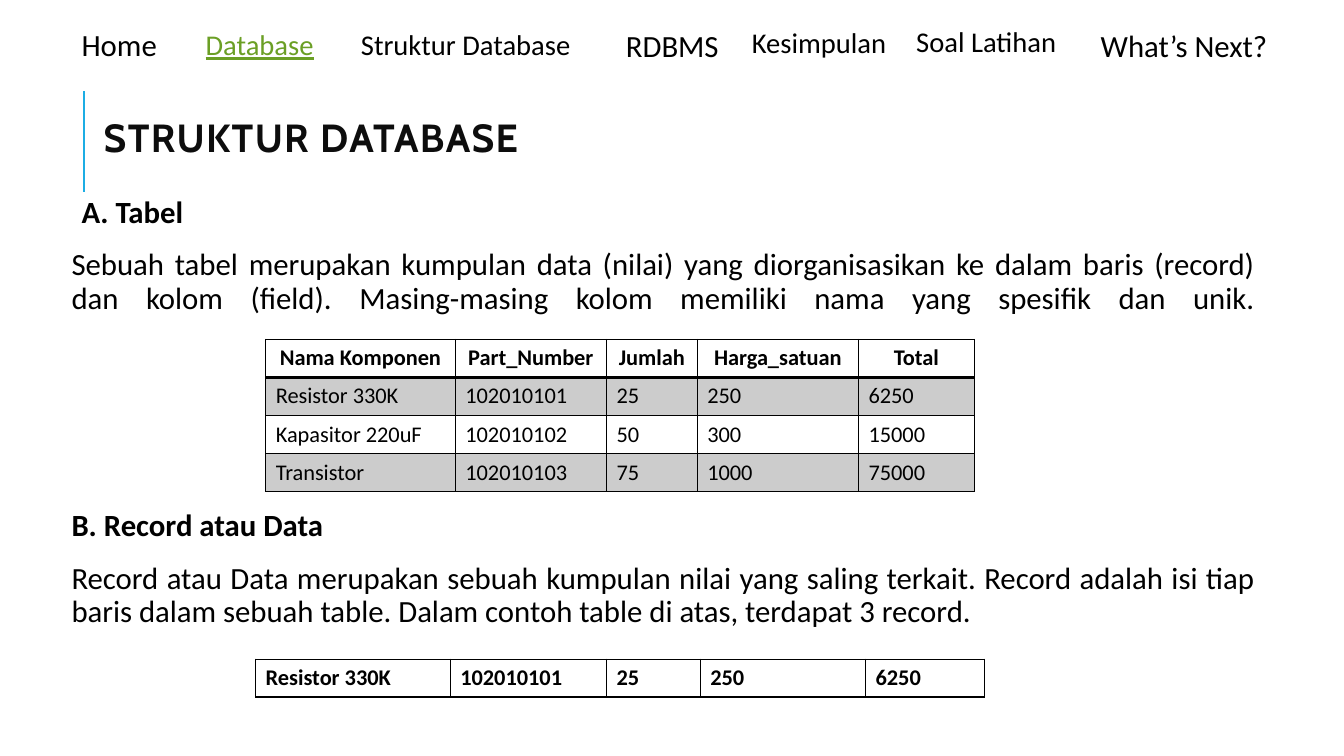
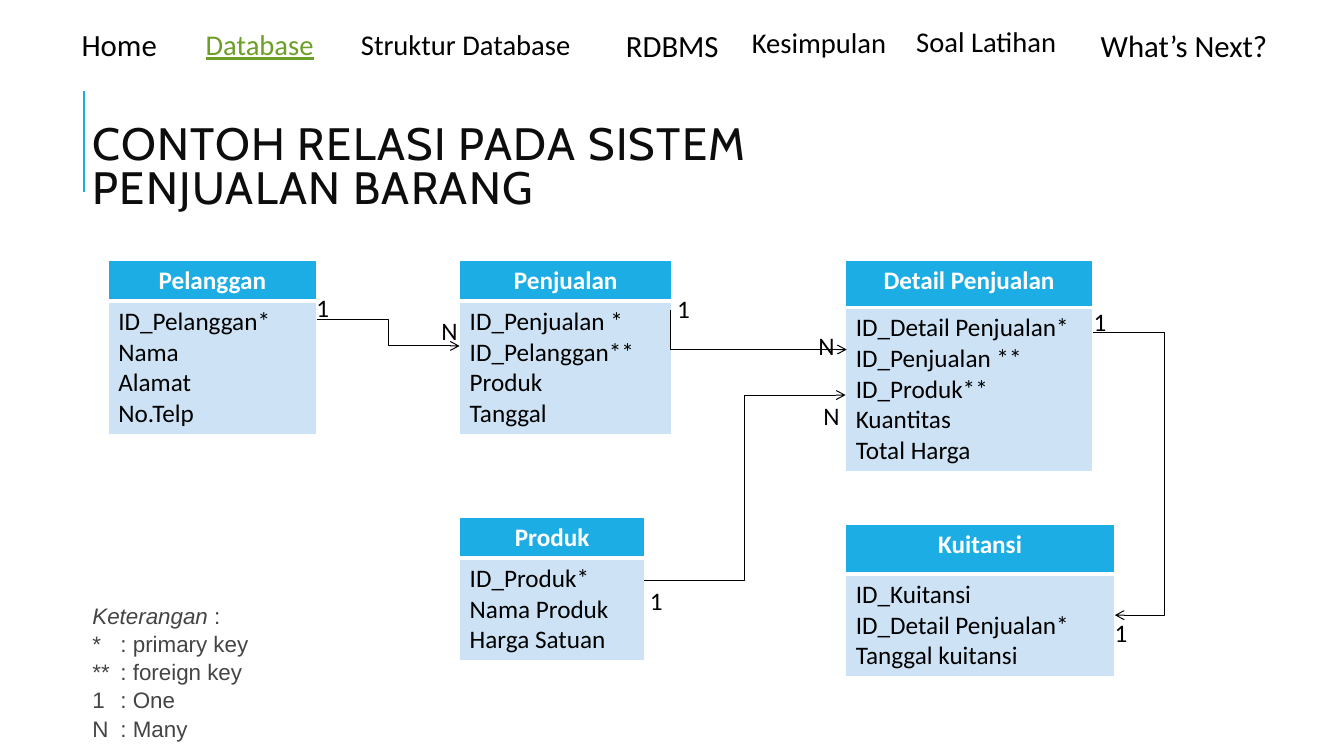
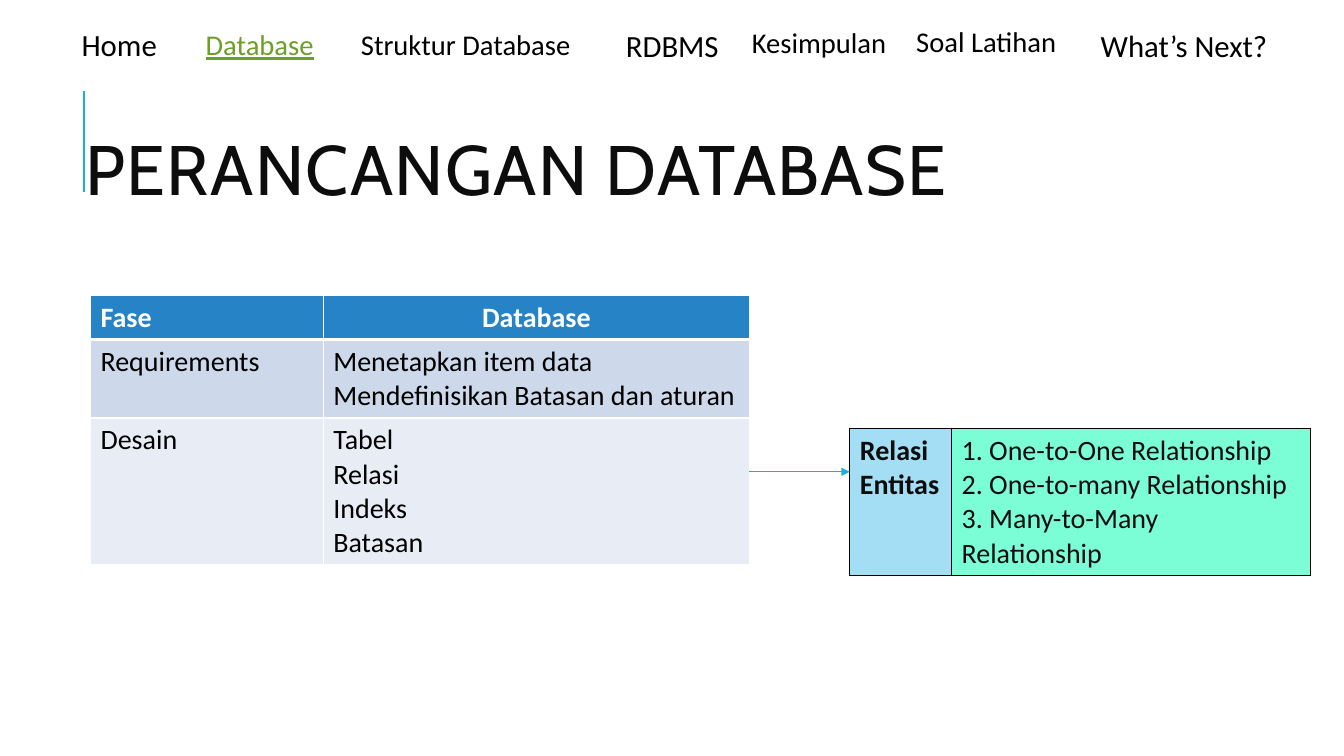
from lxml.etree import SubElement
from pptx import Presentation
from pptx.dml.color import RGBColor
from pptx.enum.shapes import MSO_CONNECTOR
from pptx.enum.text import MSO_ANCHOR, PP_ALIGN
from pptx.oxml.ns import qn
from pptx.util import Pt

BLACK = RGBColor(0, 0, 0)
INK = RGBColor(0x0D, 0x0D, 0x0D)
WHITE = RGBColor(0xFF, 0xFF, 0xFF)
CYAN = RGBColor(0x1C, 0xAD, 0xE4)
GREEN = RGBColor(0x6B, 0x9F, 0x25)
GREY = RGBColor(0xCC, 0xCC, 0xCC)
LEGEND_GREY = RGBColor(0x44, 0x44, 0x44)
ENTITY_BLUE = RGBColor(0xCD, 0xE3, 0xF5)
PHASE_BLUE = RGBColor(0x26, 0x83, 0xC6)
PHASE_DARK = RGBColor(0xCD, 0xD9, 0xEA)
PHASE_LIGHT = RGBColor(0xE8, 0xED, 0xF5)
RELATION_BLUE = RGBColor(0xA4, 0xDE, 0xF4)
MINT = RGBColor(0x7B, 0xFD, 0xD5)
BODY_FONT, TITLE_FONT = "Calibri", "Cabin"
TIGHT = (3.6, 3.6)
NORMAL = (7.2, 3.6)

# label, left, top, width, size, line spacing
NAVIGATION = [
    ("Home", 47.5, 18, 127.4, 22, 0.9),
    ("Database", 136.1, 18.7, 110.9, 20.4, 0.9),
    ("Struktur Database", 247, 18.7, 189.4, 20.4, 0.9),
    ("RDBMS", 436.3, 18.7, 110.9, 22, 0.9),
    ("Kesimpulan", 526.3, 18.7, 110.9, 20.4, 0.8),
    ("Soal Latihan", 643.7, 18, 127.4, 20.4, 0.8),
    ("What’s Next?", 775.4, 18.7, 164.2, 22, 0.9),
]
ACTIVE_ITEM = "Database"
NAVIGATION_HEIGHT = 47.5
INDENT = 7.2

TABLE_HEADING = "A. Tabel"
TABLE_TEXT = (
    "Sebuah tabel merupakan kumpulan data (nilai) yang diorganisasikan ke dalam baris "
    "(record) dan kolom (field). Masing-masing kolom memiliki nama yang spesifik dan unik."
)
RECORD_HEADING = "B. Record atau Data"
RECORD_TEXT = (
    "Record atau Data merupakan sebuah kumpulan nilai yang saling terkait. Record adalah "
    "isi tiap baris dalam sebuah table. Dalam contoh table di atas, terdapat 3 record."
)
COMPONENTS = [
    ("Nama Komponen", "Part_Number", "Jumlah", "Harga_satuan", "Total"),
    ("Resistor 330K", "102010101", "25", "250", "6250"),
    ("Kapasitor 220uF", "102010102", "50", "300", "15000"),
    ("Transistor", "102010103", "75", "1000", "75000"),
]

# name, fields, left, top, width, header height
ENTITIES = [
    ("Pelanggan", ["ID_Pelanggan*", "Nama", "Alamat", "No.Telp"], 77.3, 185.9, 148.8, 29.3),
    ("Penjualan", ["ID_Penjualan *", "ID_Pelanggan**", "Produk", "Tanggal"],
     328.3, 185.9, 151.6, 29.3),
    ("Produk", ["ID_Produk*", "Nama Produk", "Harga Satuan"], 328.3, 369.5, 132.3, 29.3),
    ("Detail Penjualan",
     ["ID_Detail Penjualan*", "ID_Penjualan **", "ID_Produk**", "Kuantitas", "Total Harga"],
     604.1, 185.9, 176.3, 33.8),
    ("Kuitansi", ["ID_Kuitansi", "ID_Detail Penjualan*", "Tanggal kuitansi"],
     604.1, 374.9, 192, 35.3),
]
# start, end, x of the vertical segment
RELATIONS = [
    ((226.2, 228.3), (328.3, 247.1), 277.3),
    ((479, 221.8), (604.8, 249.7), 479),
    ((460.3, 414.5), (604, 282.2), 532.1),
    ((780.4, 237.8), (796.3, 439.4), 831.6),
]
CARDINALITIES = [
    ("1", 218.9, 205.2), ("N", 308.2, 221.8), ("1", 476.6, 206.2), ("N", 577.4, 232.6),
    ("1", 457.2, 414.7), ("N", 581, 282.2), ("1", 774, 215.3), ("1", 789.1, 437.2),
]
LEGEND = [("*", "primary key"), ("**", "foreign key"), ("1", "One"), ("N", "Many")]

PHASES = [
    ("Fase", "Database"),
    ("Requirements", "Menetapkan item data\nMendefinisikan Batasan dan aturan"),
    ("Desain", "Tabel\nRelasi\nIndeks\nBatasan"),
]
ENTITY_RELATIONS = [(
    "Relasi Entitas",
    "1. One-to-One Relationship\n2. One-to-many Relationship\n3. Many-to-Many Relationship",
)]


def add_span(para, text, size, color=BLACK, bold=False, font=BODY_FONT):
    span = para.add_run()
    span.text = text
    span.font.name = font
    span.font.size = Pt(size)
    span.font.bold = bold
    span.font.color.rgb = color
    return span


def add_frame(page, left, top, width, height, inset=NORMAL):
    frame = page.shapes.add_textbox(Pt(left), Pt(top), Pt(width), Pt(height)).text_frame
    frame.word_wrap = True
    frame.margin_left = frame.margin_right = Pt(inset[0])
    frame.margin_top = frame.margin_bottom = Pt(inset[1])
    return frame


def add_line(page, start, end, color, width, kind=MSO_CONNECTOR.STRAIGHT, head=None):
    line = page.shapes.add_connector(kind, *(Pt(value) for value in (*start, *end)))
    line.line.color.rgb = color
    line.line.width = Pt(width)
    if head:
        SubElement(line.line._get_or_add_ln(), qn("a:tailEnd"), type=head)
    SubElement(line._element.spPr, qn("a:effectLst"))
    return line


def add_relation(page, start, end, bend_x):
    """Draw an elbow arrow whose vertical segment stands at bend_x."""
    line = add_line(page, start, end, BLACK, 0.75, MSO_CONNECTOR.ELBOW, "arrow")
    share = round((bend_x - start[0]) / (end[0] - start[0]) * 100000)
    guides = line._element.spPr.find(qn("a:prstGeom")).find(qn("a:avLst"))
    SubElement(guides, qn("a:gd"), name="adj1", fmla=f"val {share}")


def set_borders(cell, color, widths):
    """Set the left, right, top and bottom borders, ahead of the cell fill."""
    properties = cell._tc.get_or_add_tcPr()
    for place, (side, width) in enumerate(zip(("lnL", "lnR", "lnT", "lnB"), widths)):
        border = SubElement(properties, qn(f"a:{side}"), w=str(Pt(width)))
        solid = SubElement(border, qn("a:solidFill"))
        SubElement(solid, qn("a:srgbClr"), val=str(color))
        properties.insert(place, border)


def add_grid(page, left, top, widths, heights, rows, size, style, border, header_rule=1):
    """Add a table; style(row, column) gives fill, text colour, bold and alignment."""
    table = page.shapes.add_table(
        len(rows), len(widths), Pt(left), Pt(top), Pt(sum(widths)), Pt(sum(heights))
    ).table
    table.first_row = table.horz_banding = False
    for column, width in zip(table.columns, widths):
        column.width = Pt(width)
    for r, (height, texts) in enumerate(zip(heights, rows)):
        table.rows[r].height = Pt(height)
        for c, text in enumerate(texts):
            cell = table.cell(r, c)
            fill, color, bold, align = style(r, c)
            if fill is None:
                cell.fill.background()
            else:
                cell.fill.solid()
                cell.fill.fore_color.rgb = fill
            above = header_rule if r == 1 else 1
            below = header_rule if r == 0 else 1
            set_borders(cell, border, (1, 1, above, below))
            frame = cell.text_frame
            for number, line in enumerate(text.split("\n")):
                para = frame.add_paragraph() if number else frame.paragraphs[0]
                para.alignment = align
                add_span(para, line, size, color, bold)


def text_height(lines, size):
    """Height of a table row that holds this many lines."""
    return lines * size * 1.22 + 7.2


def add_page(deck, title, left, top, width, height, size, bold=False):
    """Add a slide with its accent line, title and navigation."""
    page = deck.slides.add_slide(deck.slide_layouts[6])
    add_line(page, (59.8, 136.8), (59.8, 64.8), CYAN, 1.5)
    frame = add_frame(page, left, top, width, height)
    frame.vertical_anchor = MSO_ANCHOR.MIDDLE
    para = frame.paragraphs[0]
    para.line_spacing = 0.8
    span = add_span(para, title, size, INK, bold, TITLE_FONT)
    span.font._element.set("spc", "100")
    for label, x, y, item_width, item_size, spacing in NAVIGATION:
        item = add_frame(page, x, y, item_width, NAVIGATION_HEIGHT, TIGHT)
        item.margin_left = Pt(TIGHT[0] + INDENT)
        item.paragraphs[0].line_spacing = spacing
        active = label == ACTIVE_ITEM
        span = add_span(item.paragraphs[0], label, item_size, GREEN if active else BLACK)
        span.font.underline = active
    return page


def build_structure(deck):
    page = add_page(deck, "STRUKTUR DATABASE", 67, 79.2, 765.4, 43.9, 28, True)
    frame = add_frame(page, 47.5, 136.8, 852.5, 385.2, TIGHT)
    # text, bold, space before
    passages = [
        (TABLE_HEADING, True, 0), (TABLE_TEXT, False, 12),
        (RECORD_HEADING, True, 117), (RECORD_TEXT, False, 12),
    ]
    for number, (text, bold, before) in enumerate(passages):
        para = frame.add_paragraph() if number else frame.paragraphs[0]
        para.line_spacing = 0.9
        para.space_before, para.space_after = Pt(before), Pt(2)
        para.alignment = PP_ALIGN.LEFT if bold else PP_ALIGN.JUSTIFY
        add_span(para, text, 22, BLACK, bold)
        if text == TABLE_HEADING:
            para._p.get_or_add_pPr().set("marL", str(Pt(INDENT)))
        if text == TABLE_TEXT:
            para.add_line_break()  # justifies the last line too

    def component_style(row, column):
        header = row == 0
        return (GREY if row % 2 else None, BLACK, header,
                PP_ALIGN.CENTER if header else PP_ALIGN.LEFT)

    def record_style(row, column):
        return None, BLACK, True, PP_ALIGN.LEFT

    add_grid(page, 189.8, 242.5, [135.4, 108, 64.8, 115.2, 82.8], [27.2] * 4,
             COMPONENTS, 16, component_style, BLACK, 2)
    add_grid(page, 182.6, 470.9, [139, 111.6, 67, 118.1, 85], [26.8],
             COMPONENTS[1:2], 16, record_style, BLACK, 2)


def build_relations(deck):
    page = add_page(deck, "CONTOH RELASI PADA SISTEM PENJUALAN BARANG",
                    59, 97.2, 634.3, 47.5, 32.4)

    def entity_style(row, column):
        if row == 0:
            return CYAN, WHITE, True, PP_ALIGN.CENTER
        return ENTITY_BLUE, BLACK, False, PP_ALIGN.LEFT

    for name, fields, left, top, width, header in ENTITIES:
        add_grid(page, left, top, [width], [header, text_height(len(fields), 18)],
                 [[name], ["\n".join(fields)]], 18, entity_style, WHITE, 3)
    for start, end, bend_x in RELATIONS:
        add_relation(page, start, end, bend_x)
    for mark, left, top in CARDINALITIES:
        add_span(add_frame(page, left, top, 27, 29).paragraphs[0], mark, 18)

    frame = add_frame(page, 59, 425.5, 257, 104.4)
    para = frame.paragraphs[0]
    para.line_spacing = 1.05
    add_span(para, "Keterangan", 16, LEGEND_GREY, font="Arial").font.italic = True
    add_span(para, " :", 16, LEGEND_GREY, font="Arial")
    for mark, meaning in LEGEND:
        para = frame.add_paragraph()
        para.line_spacing = 1.05
        stops = SubElement(para._p.get_or_add_pPr(), qn("a:tabLst"))
        SubElement(stops, qn("a:tab"), pos=str(Pt(20)), algn="l")
        add_span(para, f"{mark}\t: {meaning}", 16, LEGEND_GREY, font="Arial")


def build_design(deck):
    page = add_page(deck, "PERANCANGAN DATABASE", 54, 66.2, 765.4, 118.1, 50)

    def phase_style(row, column):
        if row == 0:
            return PHASE_BLUE, WHITE, True, PP_ALIGN.CENTER if column else PP_ALIGN.LEFT
        return PHASE_DARK if row == 1 else PHASE_LIGHT, BLACK, False, PP_ALIGN.LEFT

    def relation_style(row, column):
        return MINT if column else RELATION_BLUE, INK, column == 0, PP_ALIGN.LEFT

    add_grid(page, 64.6, 211, [166.3, 304.6], [text_height(n, 20) for n in (1, 2, 4)],
             PHASES, 20, phase_style, WHITE, 3)
    add_grid(page, 607, 306, [72.7, 256.3], [text_height(4, 20)],
             ENTITY_RELATIONS, 20, relation_style, BLACK)
    add_line(page, (535, 337), (607, 337), CYAN, 0.75, head="triangle")


def main():
    deck = Presentation()
    deck.slide_width, deck.slide_height = Pt(960), Pt(540)
    build_structure(deck)
    build_relations(deck)
    build_design(deck)
    deck.save("out.pptx")


if __name__ == "__main__":
    main()
